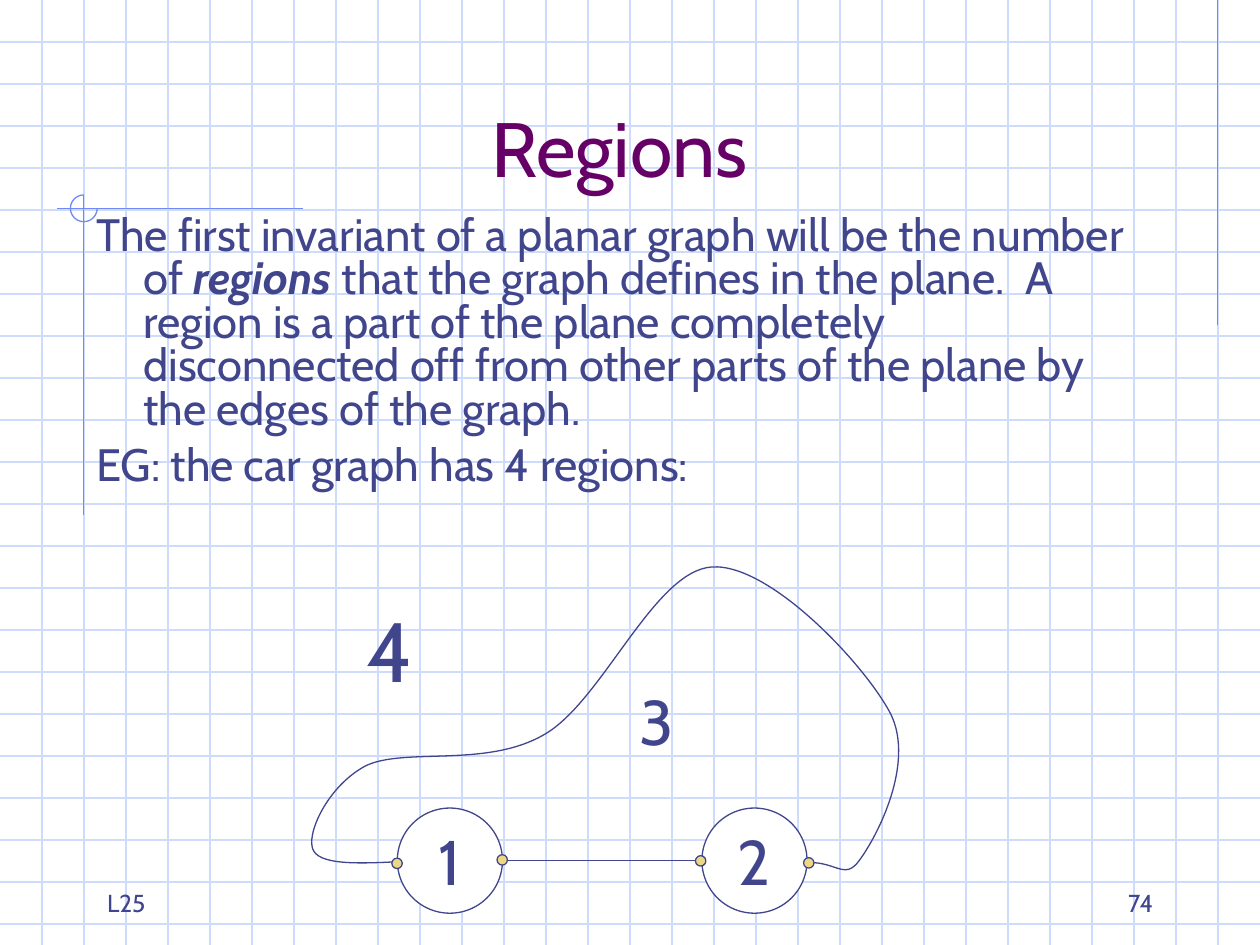
from lxml import etree
from pptx import Presentation
from pptx import util as u
from pptx.dml import color
from pptx.enum import shapes, text

Cm = u.Cm
INK, PLUM, PALE, BLUE = "40458C", "660066", "CFDBFD", "6F89F7"
WHITE, GOLD = "FFFFFF", "ECD882"
LEFT, MID, RIGHT = text.PP_ALIGN.LEFT, text.PP_ALIGN.CENTER, text.PP_ALIGN.RIGHT
TOP, CENTER, BOTTOM = text.MSO_ANCHOR.TOP, text.MSO_ANCHOR.MIDDLE, text.MSO_ANCHOR.BOTTOM
MAIN = "{http://schemas.openxmlformats.org/drawingml/2006/main}"


def rgb(code):
    return color.RGBColor.from_string(code)


def write(frame, paras, size=14, ink=INK, align=LEFT, anchor=TOP,
          wrap=True, hang=0, lead=None, gap=0):
    """Each paragraph is a list of runs; a run is (words, is_strong)."""
    frame.word_wrap = wrap
    frame.auto_size = text.MSO_AUTO_SIZE.NONE
    frame.vertical_anchor = anchor
    for i, runs in enumerate(paras):
        para = frame.paragraphs[0] if i == 0 else frame.add_paragraph()
        para.alignment = align
        if lead:
            para.line_spacing = lead
        para.space_before = u.Pt(gap if i else 0)
        if hang:
            props = para._p.get_or_add_pPr()
            props.set("marL", str(Cm(hang)))
            props.set("indent", str(-Cm(hang)))
        for words, strong in runs:
            run = para.add_run()
            run.text = words
            font = run.font
            font.name, font.size = "Cabin", u.Pt(size)
            font.bold = font.italic = strong
            font.color.rgb = rgb(ink)


def label(slide, words, x, y, w, h, **form):
    box = slide.shapes.add_textbox(Cm(x), Cm(y), Cm(w), Cm(h))
    write(box.text_frame, [[(words, False)]], **form)


def rule(home, x1, y1, x2, y2, ink):
    line = home.shapes.add_connector(
        shapes.MSO_CONNECTOR.STRAIGHT, Cm(x1), Cm(y1), Cm(x2), Cm(y2))
    line.line.color.rgb = rgb(ink)
    line.line.width = u.Pt(0.75)
    etree.SubElement(line._element.spPr, MAIN + "effectLst")


def style(shape, ink, fill=None):
    shape.shadow.inherit = False
    shape.line.color.rgb = rgb(ink)
    shape.line.width = u.Pt(0.75)
    if fill:
        shape.fill.solid()
        shape.fill.fore_color.rgb = rgb(fill)
    else:
        shape.fill.background()


def disc(slide, x, y, size, fill):
    shape = slide.shapes.add_shape(
        shapes.MSO_SHAPE.OVAL, Cm(x), Cm(y), Cm(size), Cm(size))
    style(shape, INK, fill)
    return shape


def curve(slide, x, y, start, bends):
    """Open outline of cubic curves; each bend is two handles and an end."""
    pen = slide.shapes.build_freeform(Cm(x + start[0]), Cm(y + start[1]))
    pen.add_line_segments(
        [(Cm(x + px), Cm(y + py)) for _, _, (px, py) in bends], close=False)
    shape = pen.convert_to_shape()
    # Turn each straight segment into a cubic one
    for seg, bend in zip(list(shape._element.iter(MAIN + "lnTo")), bends):
        cubic = etree.Element(MAIN + "cubicBezTo")
        for px, py in bend:
            etree.SubElement(cubic, MAIN + "pt", x=str(Cm(x + px) - shape.left),
                             y=str(Cm(y + py) - shape.top))
        seg.getparent().replace(seg, cubic)
    style(shape, INK)


def paper(slide, master, w, h):
    group = slide.shapes.add_group_shape()
    # Squared paper
    step = w / 30
    for i in range(1, int(h / step) + 1):
        rule(group, 0, i * step, w, i * step, PALE)
    for i in range(1, 30):
        rule(group, i * step, 0, i * step, h, PALE)
    # Accent rules and the corner arc
    rule(group, 24.55, 0, 24.55, 6.55, BLUE)
    rule(group, 6.1, 4.21, 1.14, 4.21, BLUE)
    rule(group, 1.69, 3.94, 1.69, 10.39, BLUE)
    arc = group.shapes.add_shape(
        shapes.MSO_SHAPE.ARC, Cm(1.42), Cm(3.93), Cm(0.54), Cm(0.54))
    arc.adjustments[0], arc.adjustments[1] = 0, 162  # 0 to 270 degrees
    style(arc, BLUE)
    # The backdrop belongs to the master, behind its placeholders
    master.shapes._spTree.insert(2, group._element)


def words(slide, x, y, w):
    # Title
    head = slide.shapes.title
    head.left, head.top, head.width, head.height = Cm(x), Cm(y), Cm(w), Cm(3.18)
    write(head.text_frame, [[("Regions", False)]], size=44, ink=PLUM,
          align=MID, anchor=BOTTOM)
    # Body
    body = slide.shapes.add_textbox(Cm(x), Cm(y + 3.4), Cm(w), Cm(6.55))
    write(body.text_frame, [
        [("The first invariant of a planar graph will be the number of ", False),
         ("regions", True),
         (" that the graph defines in the plane.  A region is a part of the plane "
          "completely disconnected off from other parts of the plane by the edges "
          "of the graph.", False)],
        [("EG: the car graph has 4 regions:", False)],
    ], size=25.92, hang=0.95, lead=0.8, gap=7)


def footer(slide, x, y, w):
    wide = 5.29
    label(slide, "L25", x, y, wide, 1.27, anchor=BOTTOM)
    label(slide, "74", x + w - wide, y, wide, 1.27, anchor=BOTTOM, align=RIGHT)


def car(slide, x, y):
    # Outline and road
    curve(slide, x, y, (2.43, 6.35), [
        ((1.47, 6.4), (0.5, 6.48), (0.32, 6.15)),
        ((0.15, 5.84), (0.6, 4.85), (1.37, 4.44)),
        ((2.15, 4.06), (3.8, 4.49), (4.97, 3.81)),
        ((6.14, 3.15), (7.18, 0.51), (8.35, 0.43)),
        ((9.52, 0.35), (11.45, 2.41), (11.96, 3.4)),
        ((12.44, 4.39), (11.7, 5.84), (11.32, 6.35)),
        ((10.94, 6.88), (10.76, 6.04), (9.62, 6.58)),
    ])
    rule(slide, x + 3.7, y + 6.35, x + 8.35, y + 6.35, INK)
    # Wheels
    for mark, dx in (("2", 8.15), ("1", 2.01)):
        wheel = disc(slide, x + dx, y + 5.29, 2.12, WHITE)
        write(wheel.text_frame, [[(mark, False)]], size=36, align=MID,
              anchor=CENTER, wrap=False)
    # Vertices
    for dx, dy in ((8.02, 6.25), (4.02, 6.23), (10.2, 6.29), (1.9, 6.3)):
        disc(slide, x + dx, y + dy, 0.21, GOLD)
    # Region numbers
    label(slide, "3", x + 6.65, y + 2.64, 1.22, 1.78, size=36, wrap=False)
    label(slide, "4", x + 1.14, y + 0.95, 1.47, 2.29, size=48, wrap=False)


def main():
    deck = Presentation()
    deck.slide_width, deck.slide_height = Cm(25.4), Cm(19.05)
    slide = deck.slides.add_slide(deck.slide_layouts[5])
    slide.background.fill.solid()
    slide.background.fill.fore_color.rgb = rgb(WHITE)
    paper(slide, deck.slide_master, 25.4, 19.05)
    footer(slide, 1.91, 17.34, 21.59)
    words(slide, 1.69, 0.84, 21.59)
    car(slide, 6, 11)
    deck.save("out.pptx")


if __name__ == "__main__":
    main()
